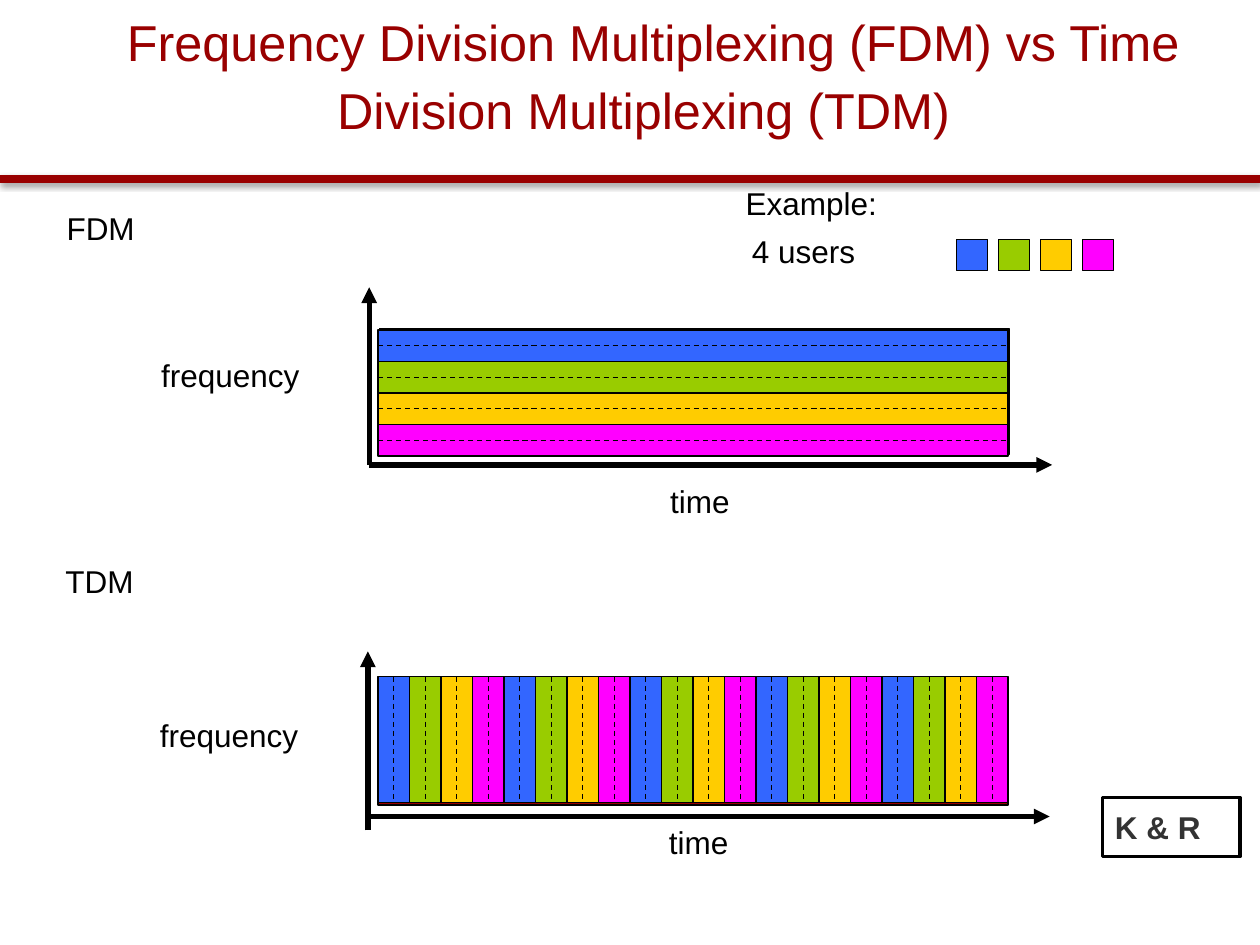
from lxml import etree
from pptx import Presentation
from pptx import util as u
from pptx.dml.color import RGBColor
from pptx.enum import dml, shapes, text
from pptx.oxml import ns

BLACK, RED, GREY = "000000", "990000", "333333"
USERS = ["3366FF", "99CC00", "FFCC00", "FF00FF"]
FRAMES = 5
SLOT = 0.25
PLOT_LEFT, PLOT_WIDTH, PLOT_HEIGHT = 3, 5, 1
FDM_TOP, TDM_TOP = 2.62, 5.37


def color(hex_code):
    return RGBColor.from_string(hex_code)


def add_xml(parent, tag, **attributes):
    return etree.SubElement(parent, ns.qn(tag), attributes)


class SlideBuilder:
    font = "Arial"
    size = 18
    thin = 0.75

    def __init__(self, slide):
        self.shapes = slide.shapes

    def run(self, paragraph, words, size=None, hex_code=BLACK, bold=False):
        run = paragraph.add_run()
        run.text = words
        run.font.name = self.font
        run.font.size = u.Pt(size or self.size)
        run.font.bold = bold
        run.font.color.rgb = color(hex_code)

    def label(self, words, left, top, width, height=0.4):
        box = self.shapes.add_textbox(*map(u.Inches, (left, top, width, height)))
        box.text_frame.word_wrap = False
        box.text_frame.auto_size = text.MSO_AUTO_SIZE.SHAPE_TO_FIT_TEXT
        self.run(box.text_frame.paragraphs[0], words)

    def title(self, runs, left, top, width, height):
        box = self.shapes.add_textbox(*map(u.Inches, (left, top, width, height)))
        frame = box.text_frame
        frame.word_wrap = True
        frame.vertical_anchor = text.MSO_ANCHOR.MIDDLE
        frame.margin_top, frame.margin_bottom = u.Inches(0.1), u.Inches(0.02)
        paragraph = frame.paragraphs[0]
        paragraph.alignment = text.PP_ALIGN.CENTER
        paragraph.line_spacing = 1.06
        for words, size in runs:
            self.run(paragraph, words, size, RED)

    def rect(self, left, top, width, height, fill=None, weight=None):
        rect = self.shapes.add_shape(
            shapes.MSO_SHAPE.RECTANGLE, *map(u.Inches, (left, top, width, height)))
        rect.shadow.inherit = False
        if fill:
            rect.fill.solid()
            rect.fill.fore_color.rgb = color(fill)
        else:
            rect.fill.background()
        rect.line.color.rgb = color(BLACK)
        rect.line.width = u.Pt(weight or self.thin)
        return rect

    def boxed_note(self, words, left, top, width, height):
        frame = self.rect(left, top, width, height, weight=2).text_frame
        frame.word_wrap = True
        frame.vertical_anchor = text.MSO_ANCHOR.MIDDLE
        frame.paragraphs[0].alignment = text.PP_ALIGN.LEFT
        self.run(frame.paragraphs[0], words, hex_code=GREY, bold=True)

    def line(self, start, end, weight=None, hex_code=BLACK,
             dashed=False, arrow=False, shadow=False):
        line = self.shapes.add_connector(
            shapes.MSO_CONNECTOR.STRAIGHT, *map(u.Inches, (*start, *end)))
        line.line.color.rgb = color(hex_code)
        line.line.width = u.Pt(weight or self.thin)
        if dashed:
            line.line.dash_style = dml.MSO_LINE.DASH
        properties = line.element.spPr
        if arrow:
            add_xml(properties.find(ns.qn("a:ln")), "a:tailEnd", type="triangle")
        effects = add_xml(properties, "a:effectLst")
        if shadow:
            outer = add_xml(effects, "a:outerShdw", blurRad=str(u.Pt(3.1)),
                            dist=str(u.Pt(1.6)), dir="5400000", rotWithShape="0")
            shade = add_xml(outer, "a:srgbClr", val=BLACK)
            add_xml(shade, "a:alpha", val="38000")
        return line

    def center_line(self, rect, start_side, end_side):
        line = self.line((0, 0), (1, 1), dashed=True)
        line.begin_connect(rect, start_side)
        line.end_connect(rect, end_side)

    def axes(self, x, y, bottom, top, right):
        self.line((x, bottom), (x, top), 3, arrow=True)
        self.line((x, y), (right, y), 3, arrow=True)


def main():
    deck = Presentation()
    deck.slide_width, deck.slide_height = u.Inches(10), u.Inches(7.5)
    build = SlideBuilder(deck.slides.add_slide(deck.slide_layouts[6]))
    plot_right = PLOT_LEFT + PLOT_WIDTH

    # Title and rule
    build.line((0, 1.42), (10, 1.42), 5, RED, shadow=True)
    build.title([(" ", 39.6),
                 ("Frequency Division Multiplexing (FDM) vs Time "
                  "Division Multiplexing (TDM)", 28.8)], 0.48, -0.16, 9.26, 1.25)

    # FDM: one horizontal band per user
    build.label("FDM", 0.43, 1.61, 0.75)
    build.label("frequency", 1.18, 2.78, 1.31)
    build.label("time", 5.22, 3.78, 0.68)
    build.axes(2.93, 3.69, bottom=3.69, top=2.28, right=8.35)
    build.rect(3.01, 2.61, PLOT_WIDTH, PLOT_HEIGHT, RED)
    bands = [build.rect(PLOT_LEFT, FDM_TOP + i * SLOT, PLOT_WIDTH, SLOT, user)
             for i, user in enumerate(USERS)]
    for i in range(1, len(bands)):
        y = FDM_TOP + i * SLOT
        build.line((PLOT_LEFT, y), (plot_right, y))
    for band in bands:
        build.center_line(band, 1, 3)

    # TDM: users take turns in vertical time slots
    build.label("TDM", 0.42, 4.41, 0.75)
    build.label("frequency", 1.17, 5.63, 1.31)
    build.label("time", 5.21, 6.48, 0.68)
    build.axes(2.92, 6.48, bottom=6.59, top=5.17, right=8.33)
    build.rect(PLOT_LEFT, 5.39, PLOT_WIDTH, PLOT_HEIGHT, RED)
    slots = [build.rect(PLOT_LEFT + i * SLOT, TDM_TOP, SLOT, PLOT_HEIGHT, user)
             for i, user in enumerate(USERS * FRAMES)]
    for i in range(1, len(slots)):
        x = PLOT_LEFT + i * SLOT
        build.line((x, TDM_TOP), (x, TDM_TOP + PLOT_HEIGHT))
    for slot in slots:
        build.center_line(slot, 0, 2)

    # Legend
    build.label("Example:", 5.82, 1.41, 1.25)
    build.label("4 users", 5.87, 1.79, 1.03)
    for i, user in enumerate(USERS):
        build.rect(7.59 + i / 3, 1.9, SLOT, SLOT, user)

    # Source note
    build.boxed_note("K & R", 8.75, 6.33, 1.09, 0.47)

    deck.save("out.pptx")


if __name__ == "__main__":
    main()
